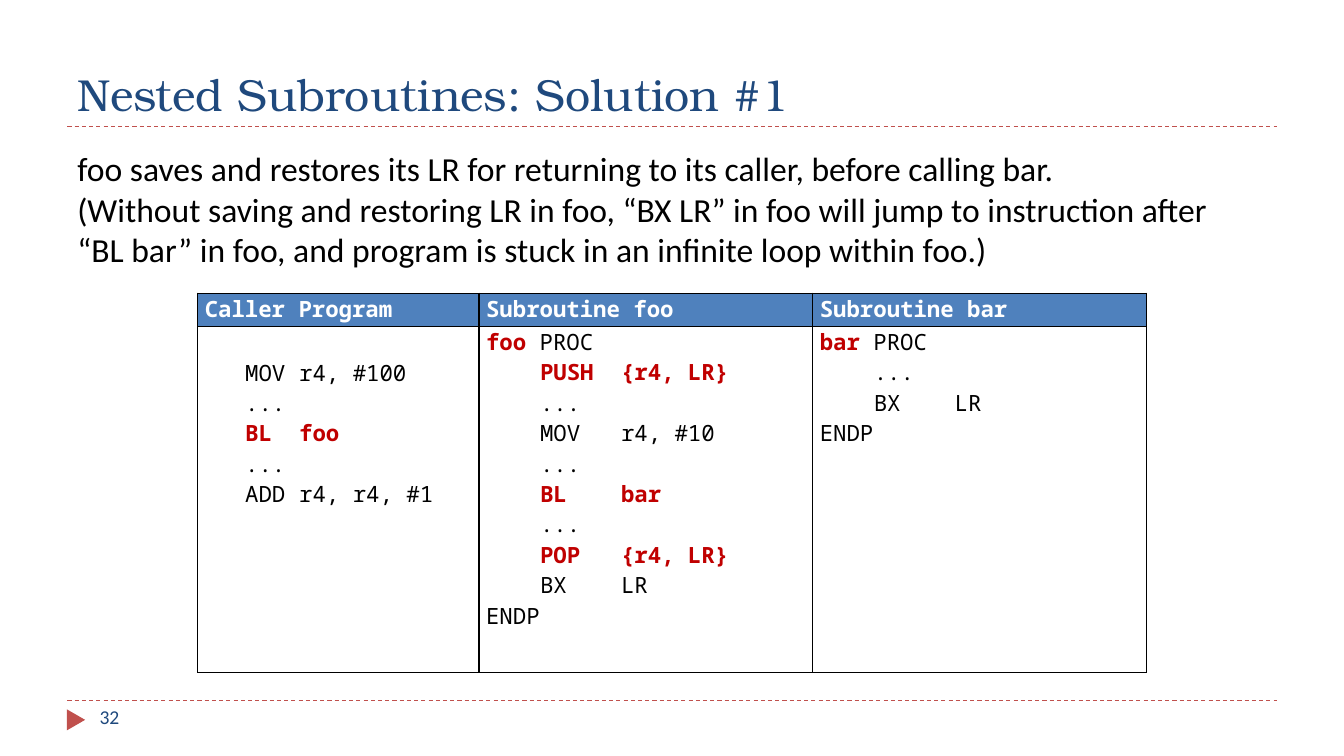
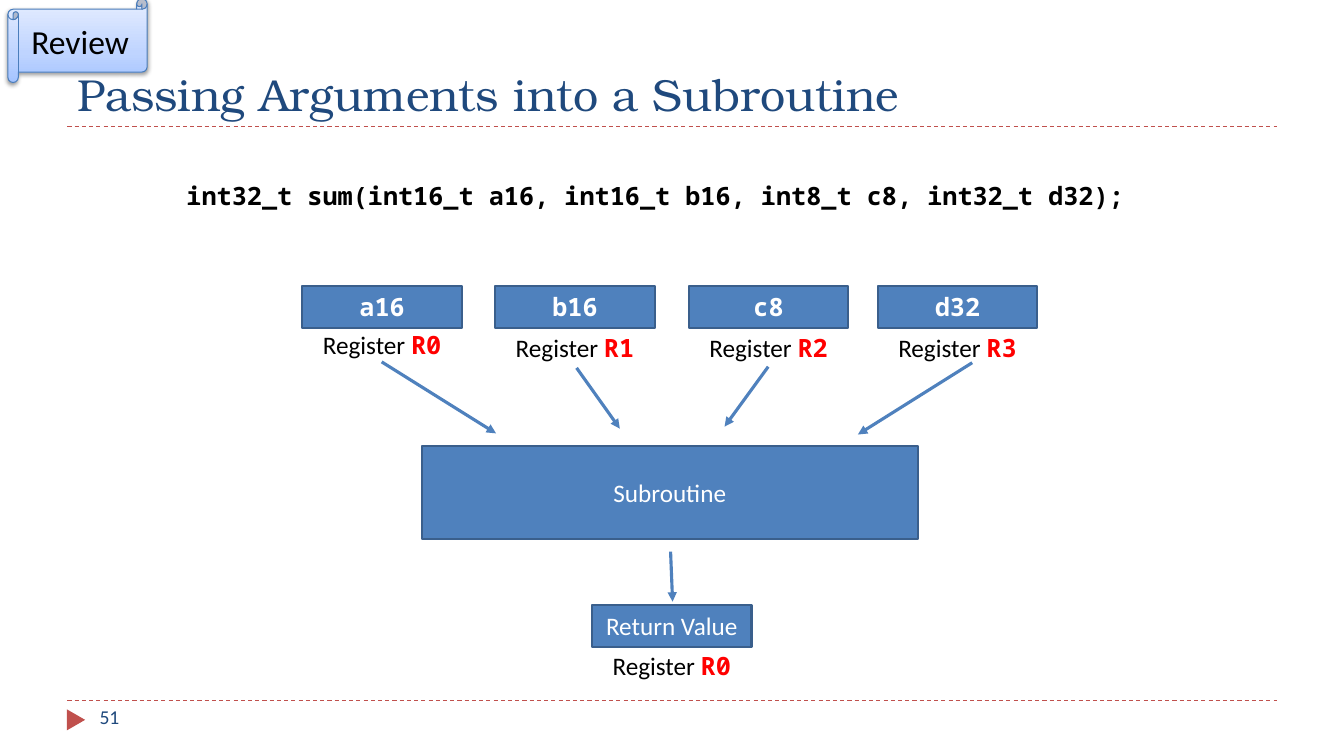
import pptx
import pptx.dml.color
import pptx.enum.dml
import pptx.enum.shapes
import pptx.enum.text
import pptx.oxml.ns
import pptx.util
from lxml import etree

Cm = pptx.util.Cm
Pt = pptx.util.Pt
qn = pptx.oxml.ns.qn
MSO_SHAPE = pptx.enum.shapes.MSO_SHAPE
PP_ALIGN = pptx.enum.text.PP_ALIGN
MSO_ANCHOR = pptx.enum.text.MSO_ANCHOR

BODY, MONO, HEADING = "Calibri", "Noto Sans Mono", "TeX Gyre Bonum"
NAVY, BLUE, OUTLINE, BRICK = "1F497D", "4F81BD", "3A5F8C", "C0504D"
BLACK, WHITE, CODE_RED, REGISTER_RED = "000000", "FFFFFF", "C00000", "FF0000"

SLIDE_SIZE = (33.87, 19.05)
RULE_LEFT, RULE_RIGHT, TITLE_RULE, FOOTER_RULE = 1.7, 32.18, 3.18, 17.65

INTRO = [
    "foo saves and restores its LR for returning to its caller, before calling bar.",
    "(Without saving and restoring LR in foo, “BX LR” in foo will jump to instruction after",
    "“BL bar” in foo, and program is stuck in an infinite loop within foo.)",
]

# Text between asterisks is highlighted; tab stops are counted in characters.
CODE_SIZE = 16
CODE_LINE = 0.77
CODE_CHARACTER = 0.34
CODE_COLUMNS = [
    {"heading": "Caller Program", "width": 7.09, "tabs": (3, 7), "skipped_lines": 1,
     "code": ["\tMOV\tr4, #100", "\t...", "\t*BL\tfoo*", "\t...", "\tADD\tr4, r4, #1"]},
    {"heading": "Subroutine foo", "width": 8.41, "tabs": (4, 10), "skipped_lines": 0,
     "code": ["*foo* PROC", "\t*PUSH\t{r4, LR}*", "\t...", "\tMOV\tr4, #10", "\t...",
              "\t*BL\tbar*", "\t...", "\t*POP\t{r4, LR}*", "\tBX\tLR", "ENDP"]},
    {"heading": "Subroutine bar", "width": 8.41, "tabs": (4, 10), "skipped_lines": 0,
     "code": ["*bar* PROC", "\t...", "\tBX\tLR", "ENDP"]},
]
CODE_ROWS = (0.84, 8.71)

PROTOTYPE = "int32_t sum(int16_t a16, int16_t b16, int8_t c8, int32_t d32);"
BOX_WIDTH, BOX_HEIGHT = 4.02, 1.06
ARGUMENT_TOP = 7.2
# name, register, box left, label top, arrow start, arrow end
ARGUMENTS = [
    ("a16", "R0", 7.62, 8.18, (9.62, 9.12), (12.5, 10.92)),
    ("b16", "R1", 12.48, 8.26, (14.53, 9.27), (15.62, 10.8)),
    ("c8", "R2", 17.36, 8.26, (19.36, 9.24), (18.26, 10.75)),
    ("d32", "R3", 22.12, 8.26, (24.5, 9.14), (21.62, 10.95)),
]
SUBROUTINE_BOX = (10.63, 11.25, 12.5, 2.33)
RETURN_LEFT, RETURN_TOP, RETURN_LABEL_TOP = 14.92, 15.24, 16.26
RETURN_ARROW = ((16.9, 13.9), (16.95, 15.16))
REVIEW_STOPS = [(0, "A4C4FF"), (35, "BFD4FF"), (100, "E6EEFF")]


def rgb(value):
    return pptx.dml.color.RGBColor.from_string(value)


def lengths(values):
    return [Cm(value) for value in values]


def format_run(run, size, colour, font=BODY, bold=False):
    run.font.size = Pt(size)
    run.font.name = font
    run.font.bold = bold
    run.font.color.rgb = rgb(colour)


def set_text(text_frame, text, size, colour, font=BODY, bold=False, align=PP_ALIGN.LEFT):
    text_frame.text = text
    for paragraph in text_frame.paragraphs:
        paragraph.alignment = align
        for run in paragraph.runs:
            format_run(run, size, colour, font, bold)


def add_text(slide, box, text, size, colour, font=BODY, bold=False):
    text_frame = slide.shapes.add_textbox(*lengths(box)).text_frame
    text_frame.word_wrap = True
    set_text(text_frame, text, size, colour, font, bold)


def add_line(slide, start, end, colour, width):
    connector = slide.shapes.add_connector(
        pptx.enum.shapes.MSO_CONNECTOR.STRAIGHT, *lengths(start + end))
    connector.line.color.rgb = rgb(colour)
    connector.line.width = Pt(width)
    etree.SubElement(connector.element.spPr, qn("a:effectLst"))
    return connector


def add_arrow(slide, start, end):
    connector = add_line(slide, start, end, BLUE, 2.25)
    etree.SubElement(connector.line._get_or_add_ln(), qn("a:tailEnd"), type="triangle")


def add_shape(slide, kind, box, fill=None, outline=None, width=1.5):
    shape = slide.shapes.add_shape(kind, *lengths(box))
    shape.shadow.inherit = False
    if fill:
        shape.fill.solid()
        shape.fill.fore_color.rgb = rgb(fill)
    if outline:
        shape.line.color.rgb = rgb(outline)
        shape.line.width = Pt(width)
    else:
        shape.line.fill.background()
    shape.text_frame.vertical_anchor = MSO_ANCHOR.MIDDLE
    return shape


def add_box(slide, box, text, font=BODY, bold=False):
    shape = add_shape(slide, MSO_SHAPE.RECTANGLE, box, BLUE, OUTLINE)
    set_text(shape.text_frame, text, 18, WHITE, font, bold, PP_ALIGN.CENTER)


def add_register_label(slide, box_left, top, register):
    """Label centred under the box that starts at box_left."""
    box = (box_left, top, BOX_WIDTH, 1.02)
    text_frame = slide.shapes.add_textbox(*lengths(box)).text_frame
    text_frame.word_wrap = True
    set_text(text_frame, "Register ", 18, BLACK, align=PP_ALIGN.CENTER)
    run = text_frame.paragraphs[0].add_run()
    run.text = register
    format_run(run, 18, REGISTER_RED, MONO, True)


def add_slide(presentation, title, number):
    """Title-only slide with the shared title style, rules and footer."""
    slide = presentation.slides.add_slide(presentation.slide_layouts[5])
    for height in (FOOTER_RULE, TITLE_RULE):
        rule = add_line(slide, (RULE_LEFT, height), (RULE_RIGHT, height), BRICK, 0.75)
        rule.line.dash_style = pptx.enum.dml.MSO_LINE.DASH
    marker = add_shape(slide, MSO_SHAPE.ISOSCELES_TRIANGLE, (1.65, 17.91, 0.53, 0.46), BRICK)
    marker.rotation = 90
    placeholder = slide.shapes.title
    placeholder.left, placeholder.top, placeholder.width, placeholder.height = lengths(
        (RULE_LEFT, 0.43, RULE_RIGHT - RULE_LEFT, 2.74))
    text_frame = placeholder.text_frame
    text_frame.auto_size = pptx.enum.text.MSO_AUTO_SIZE.NONE
    text_frame.vertical_anchor = MSO_ANCHOR.BOTTOM
    set_text(text_frame, title, 32, NAVY, HEADING)
    add_text(slide, (2.26, FOOTER_RULE, 7.34, 1.02), str(number), 14, NAVY)
    return slide


def style_cell(cell, fill=None):
    cell.margin_left = cell.margin_right = Cm(0.18)
    cell.margin_top = cell.margin_bottom = 0
    properties = cell._tc.get_or_add_tcPr()
    for side in ("a:lnL", "a:lnR", "a:lnT", "a:lnB"):
        border = etree.SubElement(properties, qn(side), w=str(Pt(1)))
        solid = etree.SubElement(border, qn("a:solidFill"))
        etree.SubElement(solid, qn("a:srgbClr"), val=BLACK)
    if fill:
        cell.fill.solid()
        cell.fill.fore_color.rgb = rgb(fill)
    else:
        cell.fill.background()


def write_code_line(paragraph, line, tabs):
    paragraph.alignment = PP_ALIGN.JUSTIFY
    tab_list = etree.SubElement(paragraph._p.get_or_add_pPr(), qn("a:tabLst"))
    for characters in tabs:
        etree.SubElement(tab_list, qn("a:tab"), algn="l",
                         pos=str(Cm(characters * CODE_CHARACTER)))
    for index, piece in enumerate(line.split("*")):
        if piece:
            highlighted = index % 2 == 1
            run = paragraph.add_run()
            run.text = piece
            format_run(run, CODE_SIZE, CODE_RED if highlighted else BLACK, MONO, highlighted)


def add_code_table(slide):
    width = sum(column["width"] for column in CODE_COLUMNS)
    box = (4.98, 7.39, width, sum(CODE_ROWS))
    table = slide.shapes.add_table(2, len(CODE_COLUMNS), *lengths(box)).table
    table.horz_banding = False
    for row, height in zip(table.rows, CODE_ROWS):
        row.height = Cm(height)
    for index, column in enumerate(CODE_COLUMNS):
        table.columns[index].width = Cm(column["width"])
        heading, body = table.cell(0, index), table.cell(1, index)
        style_cell(heading, BLUE)
        set_text(heading.text_frame, column["heading"], CODE_SIZE, WHITE, MONO, True,
                 PP_ALIGN.JUSTIFY)
        style_cell(body)
        body.margin_top = Cm(column["skipped_lines"] * CODE_LINE)
        for position, line in enumerate(column["code"]):
            text_frame = body.text_frame
            paragraph = text_frame.add_paragraph() if position else text_frame.paragraphs[0]
            write_code_line(paragraph, line, column["tabs"])


def add_review_scroll(slide):
    scroll = add_shape(slide, MSO_SHAPE.HORIZONTAL_SCROLL, (0.2, -0.03, 3.51, 2.11),
                       outline="4B7EBC", width=0.75)
    scroll.fill.gradient()
    scroll.fill.gradient_angle = 90
    properties = scroll.element.spPr
    stop_list = properties.find(qn("a:gradFill")).find(qn("a:gsLst"))
    for stop in list(stop_list):
        stop_list.remove(stop)
    for percent, colour in REVIEW_STOPS:
        stop = etree.SubElement(stop_list, qn("a:gs"), pos=str(percent * 1000))
        etree.SubElement(stop, qn("a:srgbClr"), val=colour)
    shadow = etree.SubElement(properties.find(qn("a:effectLst")), qn("a:outerShdw"),
                              blurRad="40000", dist="20000", dir="5400000", rotWithShape="0")
    shade = etree.SubElement(shadow, qn("a:srgbClr"), val=BLACK)
    etree.SubElement(shade, qn("a:alpha"), val="38000")
    set_text(scroll.text_frame, "Review", 24, BLACK, align=PP_ALIGN.CENTER)


def build_nested_subroutines(presentation):
    slide = add_slide(presentation, "Nested Subroutines: Solution #1", 32)
    add_code_table(slide)
    add_text(slide, (RULE_LEFT, 3.61, 30.12, 3.4), "\n".join(INTRO), 24, BLACK)


def build_passing_arguments(presentation):
    slide = add_slide(presentation, "Passing Arguments into a Subroutine", 51)
    for name, register, left, label_top, start, end in ARGUMENTS:
        add_box(slide, (left, ARGUMENT_TOP, BOX_WIDTH, BOX_HEIGHT), name, MONO, True)
        add_register_label(slide, left, label_top, register)
        add_arrow(slide, start, end)
    add_box(slide, SUBROUTINE_BOX, "Subroutine")
    add_box(slide, (RETURN_LEFT, RETURN_TOP, BOX_WIDTH, BOX_HEIGHT), "Return Value")
    add_arrow(slide, *RETURN_ARROW)
    add_register_label(slide, RETURN_LEFT, RETURN_LABEL_TOP, "R0")
    add_text(slide, (4.45, 4.42, 25.45, 1.02), PROTOTYPE, 18, BLACK, MONO, True)
    add_review_scroll(slide)


def main():
    presentation = pptx.Presentation()
    presentation.slide_width, presentation.slide_height = lengths(SLIDE_SIZE)
    build_nested_subroutines(presentation)
    build_passing_arguments(presentation)
    presentation.save("out.pptx")


if __name__ == "__main__":
    main()
